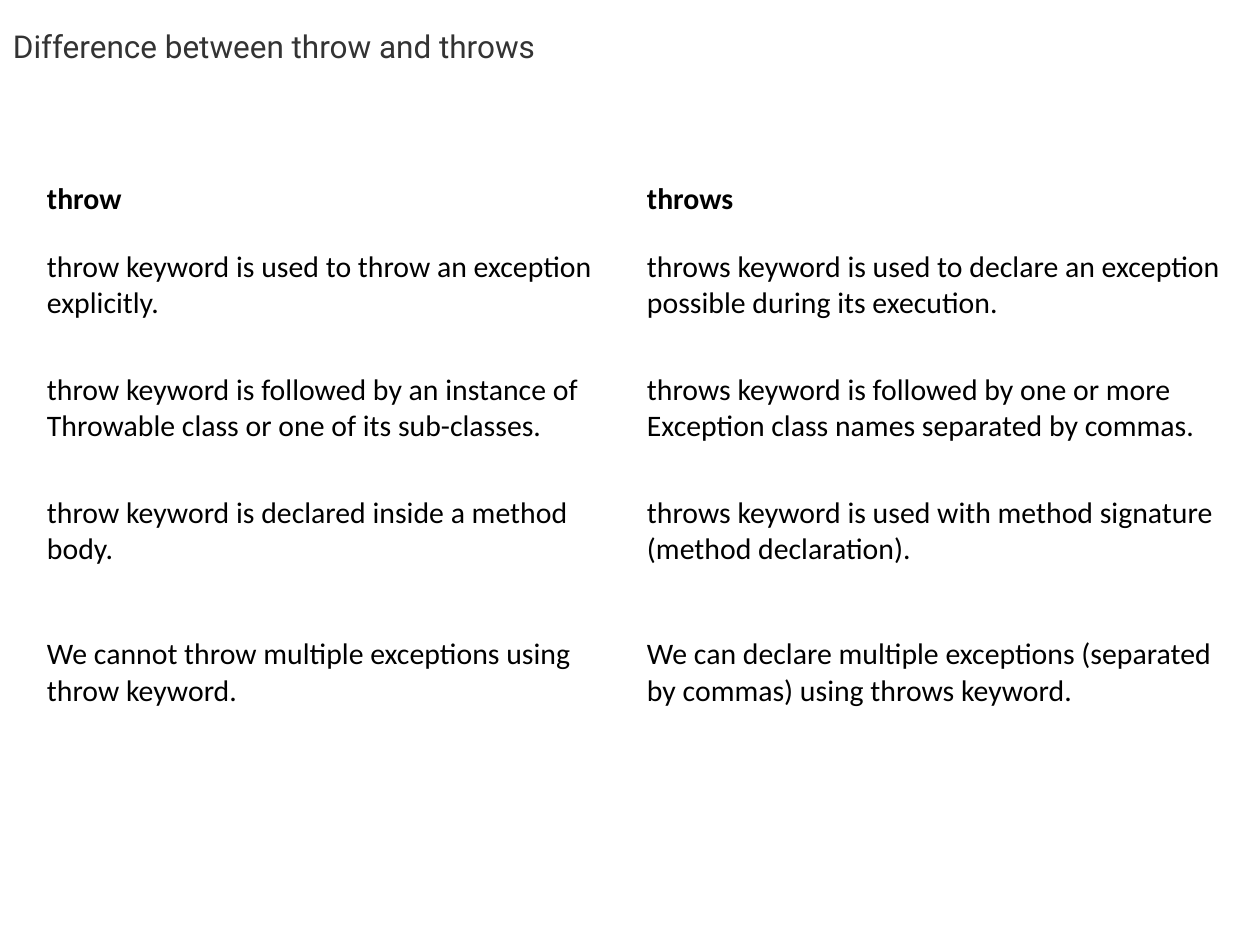
from pptx import Presentation
from pptx.dml.color import RGBColor
from pptx.enum.text import MSO_ANCHOR
from pptx.util import Emu, Pt

PX = 914400 // 126
COLORS = {"title": "333333", "body": "000000"}
TITLE_FORMAT = {"name": "Roboto", "size": Pt(18), "bold": False}
CELL_FORMAT = {"name": "Calibri", "size": Pt(17)}
TITLE = "Difference between throw and throws"
COMPARISON = [
    ("throw", "throws"),
    ("throw keyword is used to throw an exception explicitly.",
     "throws keyword is used to declare an exception possible during its execution."),
    ("throw keyword is followed by an instance of Throwable class or one of its sub-classes.",
     "throws keyword is followed by one or more Exception class names separated by commas."),
    ("throw keyword is declared inside a method body.",
     "throws keyword is used with method signature (method declaration)."),
    ("We cannot throw multiple exceptions using throw keyword.",
     "We can declare multiple exceptions (separated by commas) using throws keyword."),
]
ROW_HEIGHTS = [49, 123, 123, 123, 160]


def px(length):
    """Turn px into EMU."""
    return Emu(length * PX)


def set_attributes(target, values):
    """Set each named value on the target."""
    for name, value in values.items():
        setattr(target, name, value)


def write_text(paragraph, text, font_format, color):
    """Write one formatted run into a paragraph."""
    run = paragraph.add_run()
    run.text = text
    set_attributes(run.font, font_format)
    run.font.color.rgb = RGBColor.from_string(COLORS[color])


def add_title(slide, left, top, width, height):
    """Place the heading in its box."""
    heading = slide.shapes.add_textbox(px(left), px(top), px(width), px(height)).text_frame
    set_attributes(heading, {
        "word_wrap": True, "vertical_anchor": MSO_ANCHOR.MIDDLE, "margin_left": px(13),
        "margin_right": px(13), "margin_top": 0, "margin_bottom": 0,
    })
    write_text(heading.paragraphs[0], TITLE, TITLE_FORMAT, "title")


def add_comparison(slide, left, top, width):
    """Place the two-column comparison of the keywords."""
    comparison = slide.shapes.add_table(
        len(COMPARISON), len(COMPARISON[0]), px(left), px(top), px(width), px(sum(ROW_HEIGHTS))
    ).table
    set_attributes(comparison, {"first_row": False, "horz_banding": False})
    for column in comparison.columns:
        column.width = px(width // len(COMPARISON[0]))
    for row_index, (statements, height) in enumerate(zip(COMPARISON, ROW_HEIGHTS)):
        comparison.rows[row_index].height = px(height)
        for column_index, statement in enumerate(statements):
            cell = comparison.cell(row_index, column_index)
            set_attributes(cell, {
                "vertical_anchor": MSO_ANCHOR.MIDDLE, "margin_left": px(12),
                "margin_right": px(12), "margin_top": px(6), "margin_bottom": px(6),
            })
            cell.fill.background()
            cell_format = {**CELL_FORMAT, "bold": row_index == 0}
            write_text(cell.text_frame.paragraphs[0], statement, cell_format, "body")


def main():
    """Build and save the slide."""
    deck = Presentation()
    set_attributes(deck, {"slide_width": px(1260), "slide_height": px(945)})
    slide = deck.slides.add_slide(deck.slide_layouts[6])
    add_comparison(slide, 35, 175, 1200)
    add_title(slide, 0, 14, 1260, 63)
    deck.save("out.pptx")


if __name__ == "__main__":
    main()
